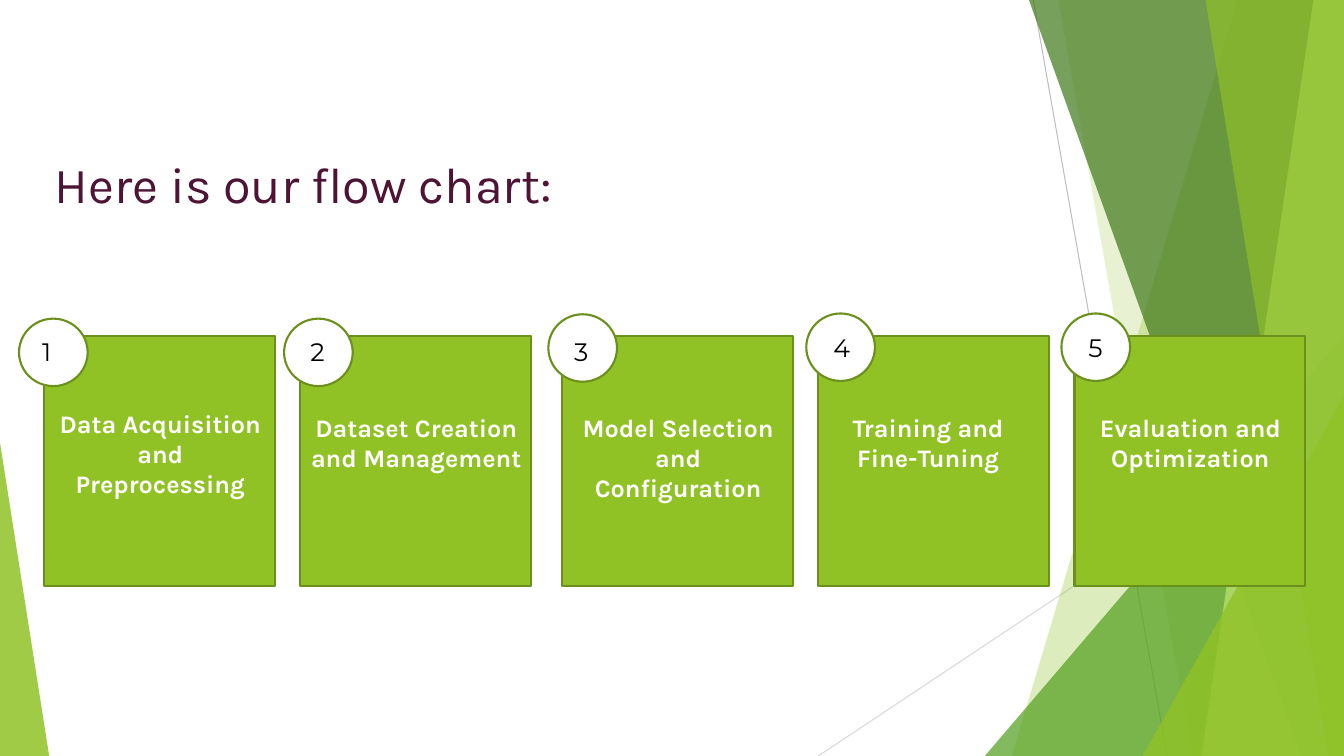
"""Builds a flow chart slide with five numbered steps on a green faceted background."""
import dataclasses

import lxml.etree
import pptx
import pptx.dml.color
import pptx.enum.shapes
import pptx.enum.text
import pptx.oxml.ns
import pptx.util

Cm = pptx.util.Cm
Pt = pptx.util.Pt
Shapes = pptx.enum.shapes.MSO_SHAPE
Align = pptx.enum.text.PP_ALIGN

WIDTH, HEIGHT = 33.87, 19.05
GREEN, DARK_GREEN, WHITE = "90C226", "6B901C", "FFFFFF"
BOX_TOP, BOX_WIDTH, BOX_HEIGHT = 8.46, 5.82, 6.3
CAPTION_WIDTH = 5.84


@dataclasses.dataclass
class Line:
    start: tuple[float, float]
    end: tuple[float, float]
    color: str


@dataclasses.dataclass
class Facet:
    top_x: float
    bottom_x: float
    color: str
    opacity: int


@dataclasses.dataclass
class Wedge:
    left: float
    top: float
    width: float
    apex: float
    color: str
    opacity: int


@dataclasses.dataclass
class Step:
    caption: str
    box_left: float
    circle: tuple[float, float]
    number: tuple[float, float]
    caption_at: tuple[float, float]


LINES = [
    Line((26.04, 0), (29.41, HEIGHT), "BFBFBF"),
    Line((WIDTH, 10.24), (20.62, HEIGHT), "D9D9D9"),
]
DECORATION = [
    Facet(31.19, 25.5, GREEN, 30),
    Facet(26.67, 30.05, GREEN, 20),
    Wedge(24.82, 8.46, 9.05, 1, "54A021", 72),
    Facet(25.93, 32.79, "3F7819", 70),
    Facet(33.1, 30.28, "C0E474", 70),
    Facet(30.38, 33.48, GREEN, 65),
    Wedge(28.8, 9.98, 5.07, 1, GREEN, 80),
    Wedge(0, 11.15, 1.24, 0, GREEN, 85),
]
STEPS = [
    Step("Data Acquisition and Preprocessing", 1.12, (0.48, 8.03), (0.81, 8.36), (1.12, 10.16)),
    Step("Dataset Creation and Management", 7.57, (7.16, 8.03), (7.57, 8.36), (7.57, 10.26)),
    Step("Model Selection and Configuration", 14.17, (13.82, 7.92), (14.22, 8.36), (14.17, 10.26)),
    Step("Training and Fine-Tuning", 20.62, (20.32, 7.9), (20.75, 8.26), (20.47, 10.26)),
    Step("Evaluation and Optimization", 27.08, (26.75, 7.9), (27.18, 8.26), (27.08, 10.26)),
]


def rgb(color: str) -> pptx.dml.color.RGBColor:
    return pptx.dml.color.RGBColor.from_string(color)


def paint(shape, color: str, opacity: int = 100, outline: str = "") -> None:
    shape.shadow.inherit = False
    shape.fill.solid()
    shape.fill.fore_color.rgb = rgb(color)
    if opacity < 100:
        tint = shape.fill._xPr.find(".//" + pptx.oxml.ns.qn("a:srgbClr"))
        lxml.etree.SubElement(tint, pptx.oxml.ns.qn("a:alpha"), val=str(opacity * 1000))
    if outline:
        shape.line.color.rgb = rgb(outline)
        shape.line.width = Pt(1.5)
    else:
        shape.line.fill.background()


def draw_line(page, line: Line) -> None:
    connector = page.shapes.add_connector(
        pptx.enum.shapes.MSO_CONNECTOR.STRAIGHT, *map(Cm, line.start + line.end))
    connector.line.color.rgb = rgb(line.color)
    connector.line.width = Pt(0.75)
    lxml.etree.SubElement(connector._element.spPr, pptx.oxml.ns.qn("a:effectLst"))


def draw_facet(page, facet: Facet) -> None:
    builder = page.shapes.build_freeform(Cm(facet.top_x), 0)
    corners = [(WIDTH, 0), (WIDTH, HEIGHT), (facet.bottom_x, HEIGHT)]
    builder.add_line_segments([(Cm(x), Cm(y)) for x, y in corners], close=True)
    paint(builder.convert_to_shape(), facet.color, facet.opacity)


def draw_wedge(page, wedge: Wedge) -> None:
    triangle = page.shapes.add_shape(
        Shapes.ISOSCELES_TRIANGLE, Cm(wedge.left), Cm(wedge.top),
        Cm(wedge.width), Cm(HEIGHT - wedge.top))
    triangle.adjustments[0] = wedge.apex
    paint(triangle, wedge.color, wedge.opacity)


def write(frame, text: str, font: str, size: float, color: str,
          align: Align = Align.LEFT, bold: bool = False) -> None:
    frame.word_wrap = True
    frame.vertical_anchor = pptx.enum.text.MSO_ANCHOR.TOP
    para = frame.paragraphs[0]
    para.alignment = align
    span = para.add_run()
    span.text = text
    span.font.name = font
    span.font.size = Pt(size)
    span.font.bold = bold
    span.font.color.rgb = rgb(color)


def draw_step(page, number: int, step: Step) -> None:
    box = page.shapes.add_shape(
        Shapes.RECTANGLE, Cm(step.box_left), Cm(BOX_TOP), Cm(BOX_WIDTH), Cm(BOX_HEIGHT))
    paint(box, GREEN, outline=DARK_GREEN)
    circle = page.shapes.add_shape(Shapes.OVAL, *map(Cm, step.circle), Cm(1.73), Cm(1.7))
    paint(circle, WHITE, outline=DARK_GREEN)
    label = page.shapes.add_textbox(*map(Cm, step.number), Cm(1.4), Cm(1.02))
    write(label.text_frame, str(number), "Montserrat", 18, "000000")
    caption = page.shapes.add_textbox(*map(Cm, step.caption_at), Cm(CAPTION_WIDTH), Cm(1.8))
    write(caption.text_frame, step.caption, "Karla", 18, WHITE, Align.CENTER, bold=True)


def main() -> None:
    deck = pptx.Presentation()
    deck.slide_width, deck.slide_height = Cm(WIDTH), Cm(HEIGHT)
    page = deck.slides.add_slide(deck.slide_layouts.get_by_name("Title Only"))
    for line in LINES:
        draw_line(page, line)
    for piece in DECORATION:
        if isinstance(piece, Facet):
            draw_facet(page, piece)
        else:
            draw_wedge(page, piece)
    title = page.shapes.title
    title.left, title.top, title.width, title.height = map(Cm, (1.12, 3.73, 30.63, 2.82))
    write(title.text_frame, "Here is our flow chart:", "Karla", 36, "4D1434")
    for number, step in enumerate(STEPS, start=1):
        draw_step(page, number, step)
    deck.save("out.pptx")


if __name__ == "__main__":
    main()
